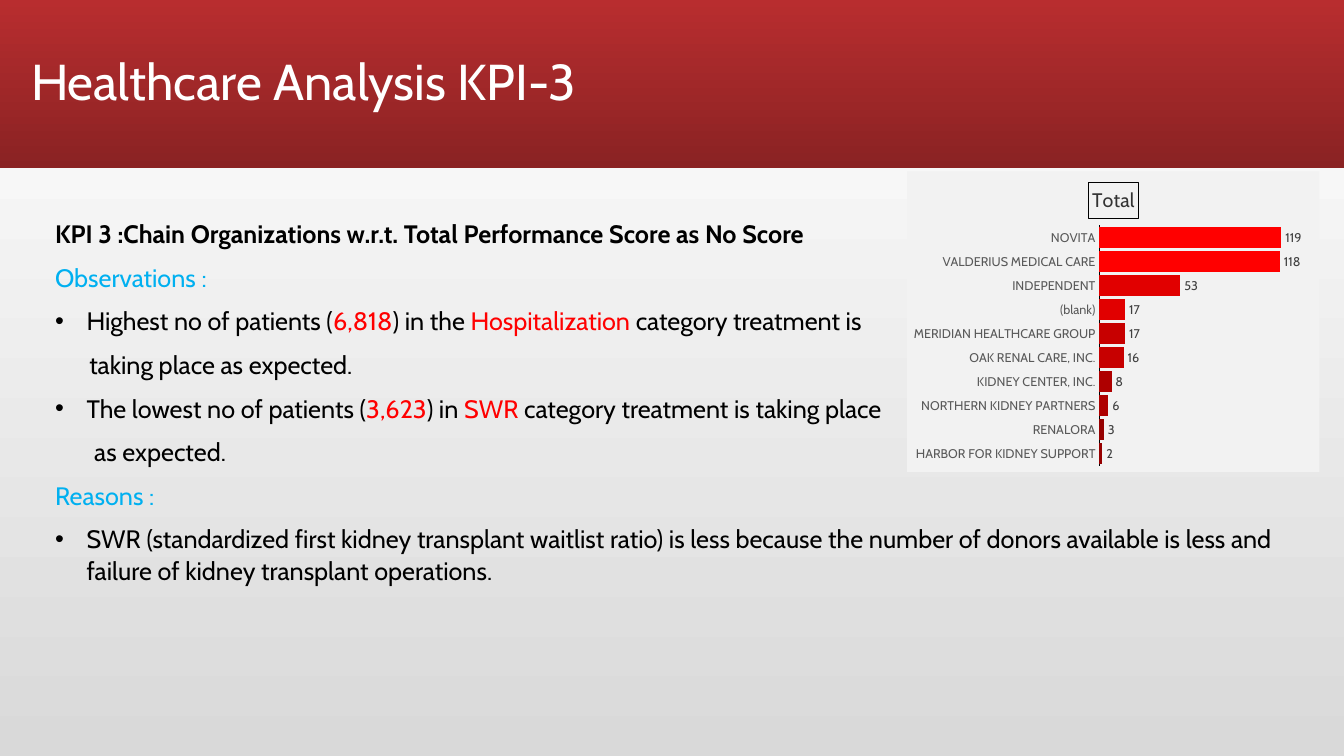
"""Build the KPI-3 slide with its findings and ranked bar chart."""
from lxml import etree
from pptx import Presentation, util as u
from pptx.chart.data import CategoryChartData
from pptx.dml.color import RGBColor
from pptx.enum import chart as charts, shapes, text
from pptx.oxml import parse_xml
from pptx.oxml.ns import nsdecls, qn

Pt = u.Pt
BLACK = RGBColor(0, 0, 0)
WHITE = RGBColor(255, 255, 255)
RED = RGBColor(255, 0, 0)
BLUE = RGBColor(0, 176, 240)
SILVER = RGBColor(217, 217, 217)
BANNER_TOP = RGBColor(184, 45, 47)
BANNER_BOTTOM = RGBColor(138, 34, 35)
TITLE_GREY = RGBColor(51, 51, 51)
AXIS_GREY = RGBColor(89, 89, 89)
LABEL_GREY = RGBColor(64, 64, 64)
RANK_COLOURS = [RGBColor(red, 0, 0) for red in (150, 174, 199, 225, 255)]
FONT = "Cabin"
BULLET_INDENT = 22.5

TITLE = "Healthcare Analysis KPI-3"
FINDINGS = [
    ("heading", 0, [("KPI 3 :Chain Organizations w.r.t. Total Performance Score as No Score", BLACK)]),
    ("plain", 0, [("Observations :", BLUE)]),
    ("bullet", BULLET_INDENT, [("Highest no of patients (", BLACK), ("6,818", RED), (") in the ", BLACK),
                               ("Hospitalization", RED), (" category treatment is", BLACK)]),
    ("plain", 24.5, [("taking place as expected.", BLACK)]),
    ("bullet", BULLET_INDENT, [("The lowest no of patients (", BLACK), ("3,623", RED), (") in ", BLACK),
                               ("SWR", RED), (" category treatment is taking place", BLACK)]),
    ("plain", 28, [("as expected.", BLACK)]),
    ("plain", 0, [("Reasons :", BLUE)]),
    ("bullet", BULLET_INDENT, [("SWR (standardized first kidney transplant waitlist ratio) is less because the "
                                "number of donors available is less and failure of kidney transplant "
                                "operations.", BLACK)]),
]
CHAINS = [
    ("HARBOR FOR KIDNEY SUPPORT", 2), ("RENALORA", 3), ("NORTHERN KIDNEY PARTNERS", 6),
    ("KIDNEY CENTER, INC.", 8), ("OAK RENAL CARE, INC.", 16), ("MERIDIAN HEALTHCARE GROUP", 17),
    ("(blank)", 17), ("INDEPENDENT", 53), ("VALDERIUS MEDICAL CARE", 118), ("NOVITA", 119),
]
PLOT = {"x": 0.466, "y": 0.18, "w": 0.52, "h": 0.8}


def apply(target, **values):
    for name, value in values.items():
        setattr(target, name, value)


def style_font(font, size, colour, bold=False):
    apply(font, name=FONT, size=Pt(size), bold=bold)
    font.color.rgb = colour


def fill_gradient(fill, first, last, angle):
    fill.gradient()
    fill.gradient_angle = angle
    for stop, colour in zip(fill.gradient_stops, (first, last)):
        stop.color.rgb = colour


def add_banner(page):
    banner = page.shapes.add_shape(shapes.MSO_SHAPE.RECTANGLE, 0, 0, Pt(960), Pt(120))
    banner.shadow.inherit = False
    banner.line.fill.background()
    fill_gradient(banner.fill, BANNER_TOP, BANNER_BOTTOM, 270)
    page.shapes._spTree.insert(2, banner._element)


def add_title(page):
    title = page.shapes.title
    apply(title, left=Pt(15), top=Pt(8), width=Pt(913), height=Pt(104))
    frame = title.text_frame
    frame.text = TITLE
    apply(frame, auto_size=text.MSO_AUTO_SIZE.NONE, vertical_anchor=text.MSO_ANCHOR.MIDDLE)
    para = frame.paragraphs[0]
    apply(para, alignment=text.PP_ALIGN.LEFT, line_spacing=0.9)
    style_font(para.runs[0].font, 36, WHITE)


def add_findings(page):
    box = page.shapes.add_textbox(Pt(32.2), Pt(151.2), Pt(913), Pt(304))
    frame = box.text_frame
    frame.word_wrap = True
    for index, (kind, indent, spans) in enumerate(FINDINGS):
        para = frame.add_paragraph() if index else frame.paragraphs[0]
        apply(para, line_spacing=1.07, space_after=Pt(8))
        props = para._p.get_or_add_pPr()
        props.set("marL", str(Pt(indent)))
        if kind == "bullet":
            props.set("indent", str(-Pt(indent)))
            etree.SubElement(props, qn("a:buFont")).set("typeface", "Arial")
            etree.SubElement(props, qn("a:buChar")).set("char", "•")
        for words, colour in spans:
            span = para.add_run()
            span.text = words
            style_font(span.font, 18, colour, kind == "heading")


def format_chart_area(chart):
    chart_part = chart._chartSpace.find(qn("c:chart"))
    chart_part.addnext(parse_xml(
        f'<c:spPr {nsdecls("c", "a")}><a:solidFill><a:srgbClr val="F2F2F2"/></a:solidFill>'
        '<a:ln><a:noFill/></a:ln></c:spPr>'))
    plot_area = chart_part.find(qn("c:plotArea"))
    for layout in plot_area.findall(qn("c:layout")):
        plot_area.remove(layout)
    modes = '<c:layoutTarget val="inner"/><c:xMode val="edge"/><c:yMode val="edge"/>'
    sizes = "".join(f'<c:{name} val="{value}"/>' for name, value in PLOT.items())
    plot_area.insert(0, parse_xml(
        f'<c:layout {nsdecls("c")}><c:manualLayout>{modes}{sizes}</c:manualLayout></c:layout>'))


def add_chain_chart(page):
    data = CategoryChartData()
    data.categories = [name for name, score in CHAINS]
    data.add_series("Series 1", [score for name, score in CHAINS])
    chart = page.shapes.add_chart(charts.XL_CHART_TYPE.BAR_CLUSTERED, Pt(648), Pt(122.4),
                                  Pt(294.5), Pt(214.6), data).chart
    style_font(chart.font, 10, BLACK)
    apply(chart, has_legend=False, has_title=True)
    title = chart.chart_title
    title.include_in_layout = False
    title.text_frame.text = "Total"
    style_font(title.text_frame.paragraphs[0].runs[0].font, 14, TITLE_GREY)
    title.format.line.color.rgb = BLACK
    title.format.line.width = Pt(0.75)

    names = chart.category_axis
    apply(names, major_tick_mark=charts.XL_TICK_MARK.NONE, has_major_gridlines=False)
    style_font(names.tick_labels.font, 9, AXIS_GREY)
    names.format.line.color.rgb = BLACK
    names.format.line.width = Pt(0.75)
    apply(chart.value_axis, visible=False, has_major_gridlines=False,
          minimum_scale=0, maximum_scale=140)

    plot = chart.plots[0]
    apply(plot, gap_width=17, vary_by_categories=False, has_data_labels=True)
    apply(plot.data_labels, show_value=True, position=charts.XL_LABEL_POSITION.OUTSIDE_END)
    style_font(plot.data_labels.font, 9, LABEL_GREY)
    for index in range(len(CHAINS)):
        fill = plot.series[0].points[index].format.fill
        fill.solid()
        fill.fore_color.rgb = RANK_COLOURS[index // 2]
    format_chart_area(chart)


def main():
    deck = Presentation()
    apply(deck, slide_width=Pt(960), slide_height=Pt(540))
    page = deck.slides.add_slide(deck.slide_layouts[5])
    fill_gradient(page.background.fill, SILVER, WHITE, 90)
    add_banner(page)
    add_title(page)
    add_findings(page)
    add_chain_chart(page)
    deck.save("out.pptx")


if __name__ == "__main__":
    main()
